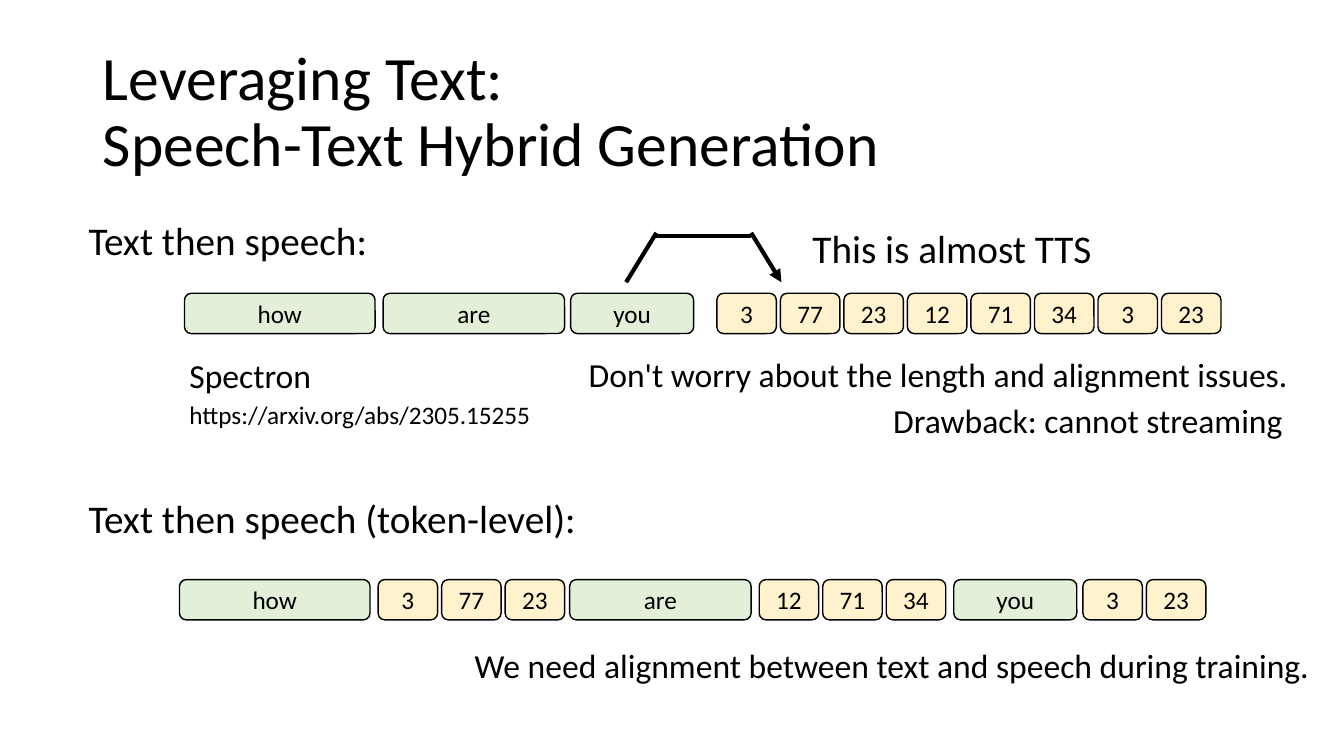
from lxml import etree
from pptx import Presentation
from pptx.dml.color import RGBColor
from pptx.enum.shapes import MSO_CONNECTOR, MSO_SHAPE
from pptx.enum.text import MSO_ANCHOR, PP_ALIGN
from pptx.oxml.ns import qn
from pptx.util import Inches, Pt

LINE = MSO_CONNECTOR.STRAIGHT
ROUND = MSO_SHAPE.ROUNDED_RECTANGLE
LEFT, CENTER = PP_ALIGN.LEFT, PP_ALIGN.CENTER
MIDDLE = MSO_ANCHOR.MIDDLE
FONT = "Calibri"
BLACK, GREEN, YELLOW = "000000", "E2F0D9", "FFF2CC"
WORDS = {"how": 1.89, "are": 1.8, "you": 1.22}
UNIT, STEP, HIGH = 0.59, 0.63, 0.4


def color(code):
    return RGBColor.from_string(code)


def style(para, size, align=LEFT):
    para.alignment = align
    para.font.name = FONT
    para.font.size = Pt(size)
    para.font.color.rgb = color(BLACK)


def add_title(slide, text):
    title = slide.shapes.title
    title.left, title.top = Inches(0.92), Inches(0.4)
    title.width, title.height = Inches(11.5), Inches(1.45)
    frame = title.text_frame
    frame.text = text
    frame.vertical_anchor = MIDDLE
    for para in frame.paragraphs:
        style(para, 44)
        para.line_spacing = 0.9


def add_text(slide, text, left, top, width, height, size):
    box = slide.shapes.add_textbox(
        Inches(left), Inches(top), Inches(width), Inches(height))
    frame = box.text_frame
    frame.word_wrap = True
    frame.text = text
    style(frame.paragraphs[0], size)


def add_token(shapes, text, left, top, width, fill):
    token = shapes.add_shape(
        ROUND, Inches(left), Inches(top), Inches(width), Inches(HIGH))
    token.shadow.inherit = False
    token.fill.solid()
    token.fill.fore_color.rgb = color(fill)
    token.line.color.rgb = color(BLACK)
    token.line.width = Pt(1)
    frame = token.text_frame
    frame.vertical_anchor = MIDDLE
    frame.text = text
    style(frame.paragraphs[0], 18, CENTER)


def add_word(shapes, word, left, top):
    add_token(shapes, word, left, top, WORDS[word], GREEN)


def add_units(shapes, units, left, top):
    for i, unit in enumerate(units):
        add_token(shapes, unit, left + i * STEP, top, UNIT, YELLOW)


def add_line(slide, x1, y1, x2, y2, arrow=False):
    line = slide.shapes.add_connector(
        LINE, Inches(x1), Inches(y1), Inches(x2), Inches(y2))
    line.line.color.rgb = color(BLACK)
    line.line.width = Pt(3)
    if arrow:
        etree.SubElement(line.line._get_or_add_ln(), qn("a:tailEnd"), type="triangle")
    etree.SubElement(line._element.spPr, qn("a:effectLst"))


def main():
    deck = Presentation()
    deck.slide_width, deck.slide_height = Inches(13.33), Inches(7.5)
    slide = deck.slides.add_slide(deck.slide_layouts[5])
    add_title(slide, "Leveraging Text: \vSpeech-Text Hybrid Generation")

    for text, left, top, width, height, size in [
        ("Text then speech:", 0.78, 2.1, 10.94, 0.57, 28),
        ("This is almost TTS", 7.96, 2.18, 3, 0.57, 28),
        ("Spectron", 1.78, 3.47, 2.67, 0.5, 24),
        ("https://arxiv.org/abs/2305.15255", 1.78, 3.91, 3.75, 0.4, 18),
        ("Don't worry about the length and alignment issues.",
         5.74, 3.46, 8.89, 0.5, 24),
        ("Drawback: cannot streaming", 8.76, 3.92, 4.35, 0.5, 24),
        ("Text then speech (token-level):", 0.78, 4.85, 10.94, 0.57, 28),
        ("We need alignment between text and speech during training.",
         4.61, 6.35, 8.89, 0.5, 24),
    ]:
        add_text(slide, text, left, top, width, height, size)

    text_group = slide.shapes.add_group_shape().shapes
    for word, left in zip(WORDS, (1.83, 3.8, 5.66)):
        add_word(text_group, word, left, 2.91)
    speech_group = slide.shapes.add_group_shape().shapes
    add_units(speech_group, ["3", "77", "23", "12", "71", "34", "3", "23"], 7.11, 2.91)

    for word, left, units, start in [
        ("how", 1.78, ["3", "77", "23"], 3.75),
        ("are", 5.65, ["12", "71", "34"], 7.53),
        ("you", 9.46, ["3", "23"], 10.74),
    ]:
        add_word(slide.shapes, word, left, 5.75)
        add_units(slide.shapes, units, start, 5.75)

    add_line(slide, 6.21, 2.8, 6.51, 2.31)
    add_line(slide, 6.51, 2.34, 7.45, 2.34)
    add_line(slide, 7.45, 2.31, 7.75, 2.8, arrow=True)
    deck.save("out.pptx")


if __name__ == "__main__":
    main()
